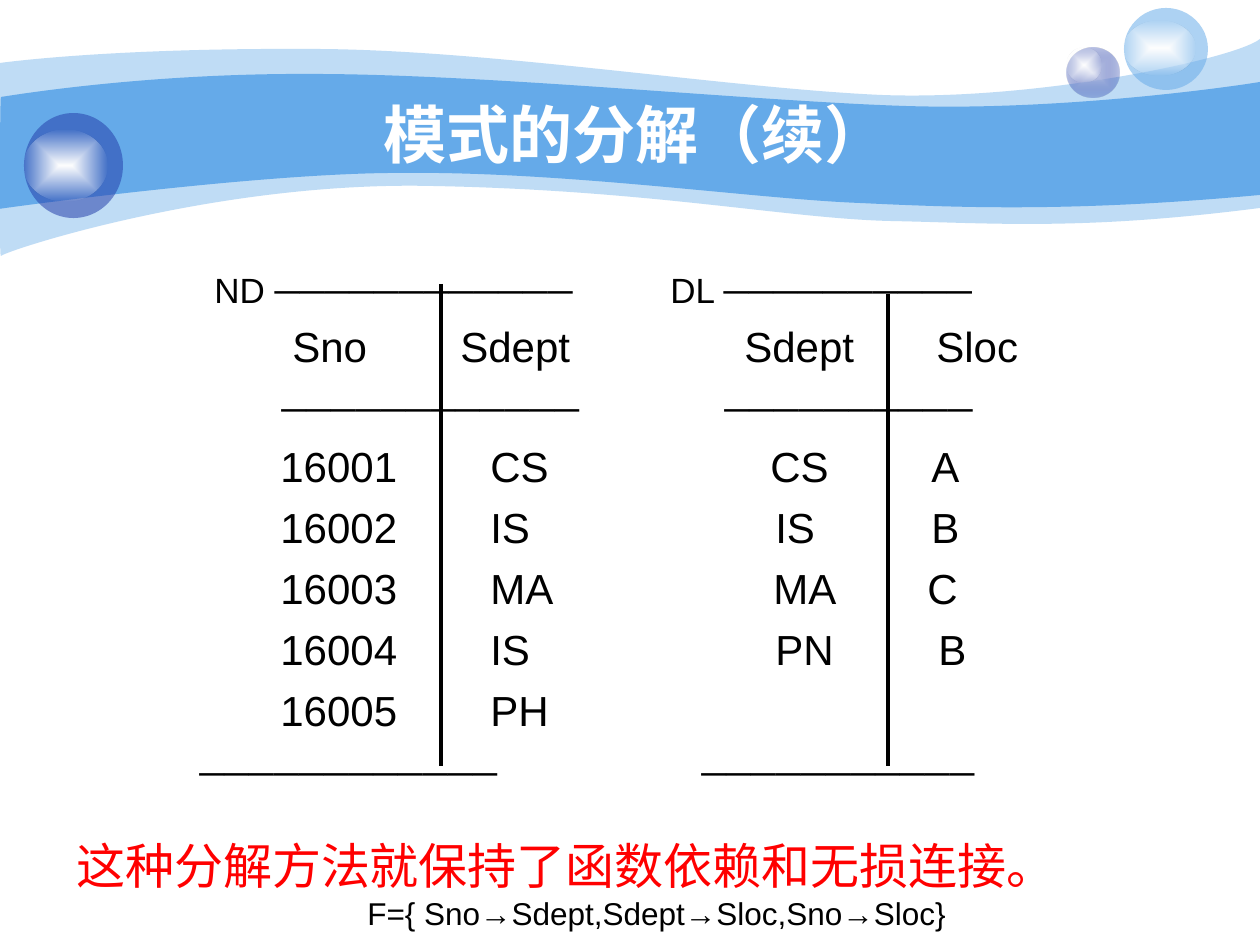
import pptx
import pptx.util
import pptx.dml.color
import pptx.enum.shapes
import pptx.enum.text
import pptx.oxml
import pptx.oxml.ns

RGB = pptx.dml.color.RGBColor
SKY = RGB(0x65, 0xAA, 0xE9)
NAVY = RGB(0x23, 0x3D, 0xA9)
LAVENDER = RGB(0xC7, 0xCE, 0xE9)
WHITE = RGB(0xFF, 0xFF, 0xFF)
BLACK = RGB(0, 0, 0)
RED = RGB(0xFF, 0, 0)
PX = 914400 // 126
TEXT_LEFT = 117
NS = pptx.oxml.ns.nsdecls("a")
ALIGN = pptx.enum.text.PP_ALIGN


def paint(shape, stops):
    shape.shadow.inherit = False
    shape.line.fill.background()
    colors = [f'<a:srgbClr val="{color}"><a:alpha val="{alpha * 1000}"/></a:srgbClr>'
              for color, alpha in stops]
    if len(colors) == 1:
        fill = f'<a:solidFill {NS}>{colors[0]}</a:solidFill>'
    else:
        fill = (f'<a:gradFill {NS} rotWithShape="1"><a:gsLst><a:gs pos="0">{colors[0]}</a:gs>'
                f'<a:gs pos="100000">{colors[1]}</a:gs></a:gsLst><a:path path="rect">'
                '<a:fillToRect l="50000" t="50000" r="50000" b="50000"/></a:path></a:gradFill>')
    shape.fill.background()
    no_fill = shape._element.spPr.find(pptx.oxml.ns.qn("a:noFill"))
    no_fill.getparent().replace(no_fill, pptx.oxml.parse_xml(fill))


def add_text(box, text, size, color, bold=False, align=None):
    left, top, width, height = [value * PX for value in box]
    frame = slide.shapes.add_textbox(left, top, width, height).text_frame
    frame.word_wrap = True
    frame.text = text
    paragraph = frame.paragraphs[0]
    paragraph.alignment = align
    font = paragraph.runs[0].font
    font.name, font.size, font.bold = "Arial", pptx.util.Pt(size), bold
    font.color.rgb = color
    return frame


deck = pptx.Presentation()
deck.slide_width, deck.slide_height = 1260 * PX, 945 * PX
slide = deck.slides.add_slide(deck.slide_layouts[6])

waves = [
    (41,
     [(0, 63), (30, 59), (135, 48), (311, 49), (486, 49), (725, 88), (881, 95),
      (1036, 101), (1235, 59), (1260, 39)],
     [(1260, 208), (1081, 231), (992, 223), (888, 221), (784, 218), (649, 190), (432, 186),
      (217, 181), (5, 251), (1, 256), (-1, 262), (0, 95), (0, 63)]),
    (100,
     [(1, 97), (3, 97), (139, 73), (312, 74), (486, 74), (750, 101), (905, 106),
      (1060, 111), (1230, 87), (1260, 82)],
     [(1260, 195), (1075, 212), (964, 208), (859, 203), (755, 199), (563, 171), (399, 173),
      (256, 173), (-3, 209), (-1, 209), (0, 209), (0, 97), (1, 97)]),
]
for opacity, upper_edge, lower_edge in waves:
    outline = upper_edge + lower_edge
    builder = slide.shapes.build_freeform(*outline[0], scale=PX)
    builder.add_line_segments(outline[1:], close=True)
    wave = builder.convert_to_shape()
    segments = list(wave._element.iter(pptx.oxml.ns.qn("a:lnTo")))
    corner = len(upper_edge) - 1
    for edge in (segments[:corner], segments[corner + 1:len(outline) - 1]):
        for first in range(0, len(edge), 3):
            curve = pptx.oxml.parse_xml(f'<a:cubicBezTo {NS}/>')
            edge[first].addprevious(curve)
            for segment in edge[first:first + 3]:
                curve.append(segment[0])
                segment.getparent().remove(segment)
    paint(wave, [(SKY, opacity)])

glow = [(WHITE, 100), (WHITE, 0)]
bubbles = [
    ((1067, 48, 53, 50), [(LAVENDER, 100), (NAVY, 31)]),
    ((1067, 48, 35, 34), glow),
    ((1124, 8, 84, 82), [(SKY, 53)]),
    ((1124, 21, 71, 54), glow),
    ((24, 113, 99, 105), [(NAVY, 53)]),
    ((24, 130, 83, 71), glow),
]
for box, stops in bubbles:
    bubble = slide.shapes.add_shape(pptx.enum.shapes.MSO_SHAPE.OVAL, *[v * PX for v in box])
    paint(bubble, stops)

title = add_text((126, 94, 1018, 78), "模式的分解（续）", 36, WHITE, True, ALIGN.CENTER)
title.vertical_anchor = pptx.enum.text.MSO_ANCHOR.MIDDLE

nd_rule, dl_rule = "─" * 12, "─" * 10
rows = [
    (20, {214: "ND " + nd_rule, 670: "DL " + dl_rule}),
    (24, {292: "Sno", 460: "Sdept", 744: "Sdept", 936: "Sloc"}),
    (20, {281: nd_rule, 724: dl_rule}),
    (24, {280: "16001", 490: "CS", 770: "CS", 931: "A"}),
    (24, {280: "16002", 490: "IS", 775: "IS", 931: "B"}),
    (24, {280: "16003", 490: "MA", 773: "MA", 927: "C"}),
    (24, {280: "16004", 490: "IS", 775: "PN", 938: "B"}),
    (24, {280: "16005", 490: "PH"}),
    (20, {199: nd_rule, 701: "─" * 11}),
]
relations = slide.shapes.add_textbox(105 * PX, 262 * PX, 1071 * PX, 567 * PX).text_frame
relations.word_wrap = True
for index, (size, cells) in enumerate(rows):
    row = relations.paragraphs[0] if index == 0 else relations.add_paragraph()
    stops = "".join(f'<a:tab pos="{(x - TEXT_LEFT) * PX}" algn="l"/>' for x in cells)
    row._p.get_or_add_pPr().append(pptx.oxml.parse_xml(f'<a:tabLst {NS}>{stops}</a:tabLst>'))
    if index:
        row.space_before = pptx.util.Pt(size // 4)
    pieces = [(size, "".join("\t" + cell for cell in cells.values()))]
    if index and size == 20:
        pieces = [(24, "\t"), (size, pieces[0][1][1:])]
    for piece_size, text in pieces:
        run = row.add_run()
        run.text = text
        run.font.name, run.font.size = "Arial", pptx.util.Pt(piece_size)
        run.font.color.rgb = BLACK

for x, top in ((441, 284), (888, 294)):
    divider = slide.shapes.add_connector(pptx.enum.shapes.MSO_CONNECTOR.STRAIGHT,
                                         x * PX, top * PX, x * PX, 766 * PX)
    divider.line.color.rgb = BLACK
    divider.line.width = pptx.util.Pt(2.25)
    divider._element.spPr.append(pptx.oxml.parse_xml(f'<a:effectLst {NS}/>'))

add_text((64, 829, 1032, 72), "这种分解方法就保持了函数依赖和无损连接。", 28, RED)
dependencies = add_text((355, 892, 604, 47), "F={ Sno→Sdept,Sdept→Sloc,Sno→Sloc}", 18, BLACK,
                        align=ALIGN.JUSTIFY)
dependencies.word_wrap = False
dependencies.paragraphs[0].line_spacing = 0.9

deck.save("out.pptx")
